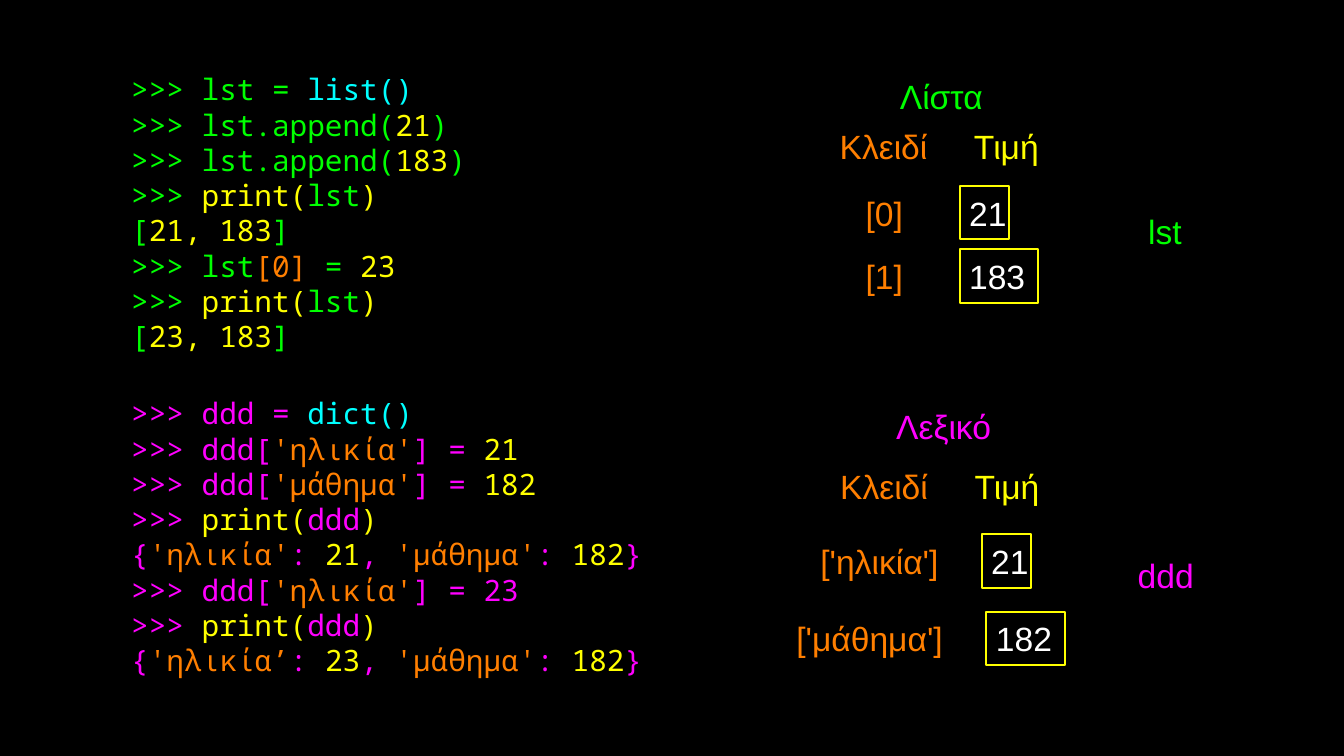
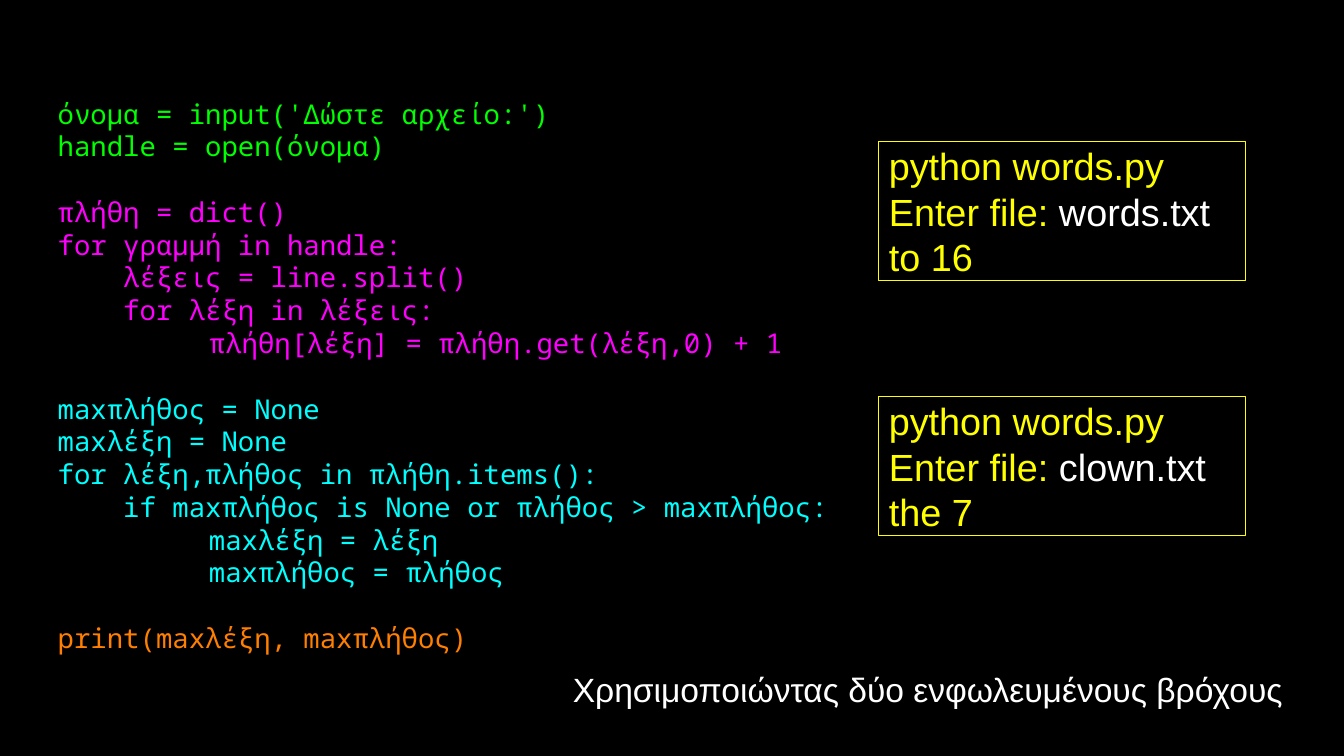
from lxml.etree import SubElement
from pptx import Presentation
from pptx.dml.color import RGBColor
from pptx.enum.shapes import MSO_SHAPE as Preset
from pptx.enum.text import MSO_ANCHOR as Anchor, PP_ALIGN as Align
from pptx.oxml.ns import qn
from pptx.util import Pt

COLORS = {
    "black": "000000", "white": "FFFFFF", "green": "00FF00", "cyan": "00FFFF",
    "yellow": "FFFF00", "orange": "FF7F00", "magenta": "FF00FF",
}
CODE_FONT, LABEL_FONT = "Noto Sans Mono", "Arial"
LABEL_SIZE = 32
LINE_FACTOR = 1.2
LABEL_HEIGHT, TITLE_HEIGHT, CELL_HEIGHT = 49, 61, 51
HEADING_WIDTH = 87


def color(name):
    return RGBColor.from_string(COLORS[name])


class Deck:
    """Holds the style and the current slide.

    A line of text is a flat tuple: colour, text, colour, text, ...
    An empty tuple leaves a gap one line high before the next line.
    """

    def __init__(self):
        self.presentation = Presentation()
        self.presentation.slide_width = Pt(1280)
        self.presentation.slide_height = Pt(720)
        background = self.presentation.slide_master.background.fill
        background.solid()
        background.fore_color.rgb = color("black")
        self.slide = None

    def new_slide(self):
        blank = self.presentation.slide_layouts[6]
        self.slide = self.presentation.slides.add_slide(blank)

    def fill_text(self, shape, lines, size, font=LABEL_FONT, align=Align.LEFT, inset=0):
        frame = shape.text_frame
        frame.word_wrap = True
        frame.vertical_anchor = Anchor.MIDDLE
        frame.margin_left = Pt(inset)
        frame.margin_right = frame.margin_top = frame.margin_bottom = 0
        paragraph, gap = None, 0
        for line in lines:
            if not line:
                gap += size * LINE_FACTOR
                continue
            paragraph = frame.add_paragraph() if paragraph else frame.paragraphs[0]
            if line[1].startswith("\t"):
                self.add_tabs(paragraph)
            paragraph.alignment = align
            paragraph.line_spacing = Pt(size * LINE_FACTOR)
            paragraph.space_before = Pt(gap)
            gap = 0
            for name, text in zip(line[::2], line[1::2]):
                run = paragraph.add_run()
                run.text = text
                run.font.name = font
                run.font.size = Pt(size)
                run.font.color.rgb = color(name)

    def add_tabs(self, paragraph):
        tabs = SubElement(paragraph._p.get_or_add_pPr(), qn("a:tabLst"))
        for position in (72, 144):
            SubElement(tabs, qn("a:tab"), pos=str(Pt(position)), algn="l")

    def text(self, left, top, width, height, lines, size=LABEL_SIZE, **style):
        shape = self.slide.shapes.add_textbox(Pt(left), Pt(top), Pt(width), Pt(height))
        self.fill_text(shape, lines, size, **style)

    def code(self, left, top, width, height, lines, size):
        self.text(left, top, width, height, lines, size, font=CODE_FONT)

    def label(self, left, top, width, text, name, height=LABEL_HEIGHT,
              align=Align.CENTER):
        self.text(left, top, width, height, [(name, text)], align=align)

    def frame(self, left, top, width, height, lines, size, inset, border):
        shape = self.slide.shapes.add_shape(
            Preset.RECTANGLE, Pt(left), Pt(top), Pt(width), Pt(height))
        shape.shadow.inherit = False
        shape.fill.background()
        shape.line.color.rgb = color("yellow")
        shape.line.width = Pt(border)
        self.fill_text(shape, lines, size, inset=inset)

    def headings(self, left, top):
        self.label(left, top, HEADING_WIDTH, "Κλειδί", "orange")
        self.label(left + 117, top, HEADING_WIDTH, "Τιμή", "yellow")

    def entry(self, key, key_left, key_width, value, value_left, top):
        """A key with its framed value beside it."""
        self.label(key_left, top + 1, key_width, key, "orange", align=Align.RIGHT)
        width = 47 if len(value) == 2 else 75
        self.frame(value_left, top, width, CELL_HEIGHT, [("white", value)],
                   LABEL_SIZE, inset=9, border=2)


def print_call(variable, name):
    return (name, ">>> ", "yellow", "print(", name, variable, "yellow", ")")


def append_call(value):
    return ("green", ">>> lst.append(", "yellow", value, "green", ")")


def list_output(values):
    return ("green", "[", "yellow", values, "green", "]")


def assign_key(key, value, value_color="yellow"):
    return ("magenta", ">>> ddd[", "orange", key, "magenta", "] = ", value_color, value)


def dict_output(age_key, age):
    return ("magenta", "{", "orange", age_key, "magenta", ": ", "yellow", age,
            "magenta", ", ", "orange", "'μάθημα'", "magenta", ": ",
            "yellow", "182", "magenta", "}")


def colored(name, *lines):
    return [(name, line) for line in lines]


def list_and_dict_slide(deck):
    deck.new_slide()

    # Code sessions
    deck.code(125, 61, 448, 283, [
        ("green", ">>> lst = ", "cyan", "list()"),
        append_call("21"),
        append_call("183"),
        print_call("lst", "green"),
        list_output("21, 183"),
        ("green", ">>> lst", "orange", "[0]", "green", " = ", "yellow", "23"),
        print_call("lst", "green"),
        list_output("23, 183"),
    ], size=28)
    deck.code(125, 356, 490, 310, [
        ("magenta", ">>> ddd = ", "cyan", "dict()"),
        assign_key("'ηλικία'", "21"),
        assign_key("'μάθημα'", "182"),
        print_call("ddd", "magenta"),
        dict_output("'ηλικία'", "21"),
        assign_key("'ηλικία'", "23", "magenta"),
        print_call("ddd", "magenta"),
        dict_output("'ηλικία’", "23"),
    ], size=28)

    # List diagram
    deck.label(853, 61, 87, "Λίστα", "green", TITLE_HEIGHT)
    deck.headings(798, 115)
    deck.entry("[0]", 809, 51, "21", 914, 177)
    deck.entry("[1]", 809, 51, "183", 914, 237.5)
    deck.label(1084, 190, 51, "lst", "green", TITLE_HEIGHT)

    # Dictionary diagram
    deck.label(795.5, 375, 206.5, "Λεξικό", "magenta", TITLE_HEIGHT)
    deck.headings(798.5, 438.5)
    deck.entry("['ηλικία']", 778, 116, "21", 935, 509)
    deck.entry("['μάθημα']", 752, 146, "182", 939.5, 582.5)
    deck.label(1071, 517, 78.5, "ddd", "magenta", TITLE_HEIGHT)


def word_count_slide(deck):
    deck.new_slide()

    # Program
    deck.code(55, 67.5, 757, 580, [
        *colored("green", "όνομα = input('Δώστε αρχείο:')", "handle = open(όνομα)"),
        (),
        *colored("magenta",
                 "πλήθη = dict()",
                 "for γραμμή in handle:",
                 "    λέξεις = line.split()",
                 "    for λέξη in λέξεις:",
                 "\t\tπλήθη[λέξη] = πλήθη.get(λέξη,0) + 1"),
        (),
        *colored("cyan",
                 "maxπλήθος = None",
                 "maxλέξη = None",
                 "for λέξη,πλήθος in πλήθη.items():",
                 "    if maxπλήθος is None or πλήθος > maxπλήθος:",
                 "\t\tmaxλέξη = λέξη",
                 "\t\tmaxπλήθος = πλήθος"),
        (),
        *colored("orange", "print(maxλέξη, maxπλήθος)"),
    ], size=26)

    # Sample runs
    for top, file_name, result in ((134.5, "words.txt", "to 16"),
                                   (377.5, "clown.txt", "the 7")):
        deck.frame(836.5, top, 350, 133, [
            ("yellow", "python words.py"),
            ("yellow", "Enter file: ", "white", file_name),
            ("yellow", result),
        ], size=36, inset=10, border=1)

    # Closing remark
    deck.text(545.5, 633, 696, 46,
              [("white", "Χρησιμοποιώντας δύο ενφωλευμένους βρόχους")])


def main():
    deck = Deck()
    list_and_dict_slide(deck)
    word_count_slide(deck)
    deck.presentation.save("out.pptx")


if __name__ == "__main__":
    main()
